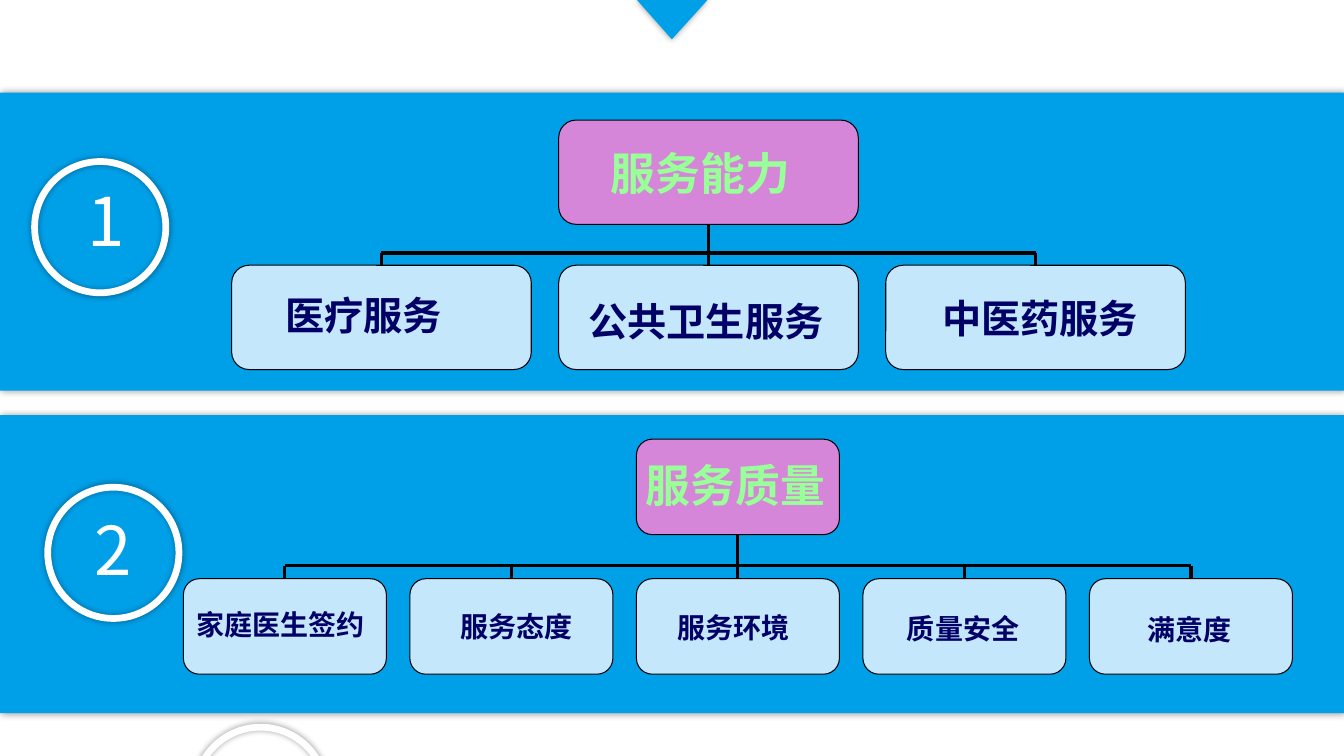
from lxml.etree import SubElement
from pptx import Presentation
from pptx.dml.color import RGBColor
from pptx.enum.shapes import MSO_CONNECTOR as LINK, MSO_SHAPE as SHAPE
from pptx.enum.text import MSO_AUTO_SIZE as FIT, PP_ALIGN as ALIGN
from pptx.oxml.ns import qn
from pptx.util import Pt

COLORS = {
    "panel": "00A0E9", "white": "FFFFFF", "black": "000000",
    "parent": "D686D8", "child": "C4E7FC",
    "heading": "99FF99", "label": "000066",
}
LABEL_FONT = "Noto Sans CJK JP"
NUMBER_FONT = "Noto Sans CJK SC"
SLIDE_WIDTH, SLIDE_HEIGHT = 960, 540
RING_SIZE = 98.6

ABILITY = {
    "left": 165.5, "step": 233.6, "box": (214, 74.5),
    "parent_top": 85.8, "bus": 180.7, "child_top": 189.5, "size": 28,
    "heading": ("服务能力", 429.1, 100.8),
    "labels": [("医疗服务", 196.5, 204.5), ("公共卫生服务", 413.3, 208.8),
               ("中医药服务", 666, 206.6)],
}
QUALITY = {
    "left": 131, "step": 161.8, "box": (145, 68.2),
    "parent_top": 313.7, "bus": 404, "child_top": 413.4, "size": 20,
    "heading": ("服务质量", 454.3, 323.3),
    "labels": [("家庭医生签约", 133.2, 430.6), ("服务态度", 321.8, 432),
               ("服务环境", 476.6, 432.7), ("质量安全", 640.8, 433.4),
               ("满意度", 812.2, 434.2)],
}


def rgb(name):
    return RGBColor.from_string(COLORS[name])


def add_filled(slide, kind, left, top, width, height, color):
    filled = slide.shapes.add_shape(kind, Pt(left), Pt(top), Pt(width), Pt(height))
    filled.shadow.inherit = False
    filled.fill.solid()
    filled.fill.fore_color.rgb = rgb(color)
    filled.line.fill.background()
    return filled


def add_glow(filled):
    effects = filled.element.spPr.find(qn("a:effectLst"))
    shadow = SubElement(effects, qn("a:outerShdw"), blurRad=str(Pt(5)),
                        dist="0", dir="0", algn="ctr", rotWithShape="0")
    tint = SubElement(shadow, qn("a:srgbClr"), val=COLORS["black"])
    SubElement(tint, qn("a:alpha"), val="40000")


def add_panel(slide, top):
    add_glow(add_filled(slide, SHAPE.RECTANGLE, 0, top, SLIDE_WIDTH, 212.8, "panel"))


def add_ring(slide, left, top):
    ring = add_filled(slide, SHAPE.DONUT, left, top, RING_SIZE, RING_SIZE, "white")
    ring.adjustments[0] = 0.049
    add_glow(ring)


def add_pointer(slide):
    pointer = add_filled(slide, SHAPE.ISOSCELES_TRIANGLE, 455, 0, 50.4, 28.1, "panel")
    pointer.adjustments[0] = 0.495
    pointer.element.spPr.xfrm.set("flipV", "1")
    add_glow(pointer)


def add_text(slide, text, left, top, *, size, color, font=LABEL_FONT,
             bold=True, width=None, align=ALIGN.LEFT):
    fitted = len(text) * size + 14.4
    box = slide.shapes.add_textbox(Pt(left), Pt(top), Pt(width or fitted),
                                   Pt(size * 1.2 + 7.4))
    frame = box.text_frame
    frame.word_wrap = width is not None
    frame.auto_size = FIT.SHAPE_TO_FIT_TEXT
    paragraph = frame.paragraphs[0]
    paragraph.alignment = align
    run = paragraph.add_run()
    run.text = text
    run.font.size = Pt(size)
    run.font.bold = bold
    run.font.color.rgb = rgb(color)
    run.font.name = font
    SubElement(run.font._element, qn("a:ea"), typeface=font)


def add_number(slide, text, left, top):
    add_text(slide, text, left, top, size=48, color="white", font=NUMBER_FONT,
             bold=False, width=90.7, align=ALIGN.CENTER)


def add_line(slide, start, end):
    line = slide.shapes.add_connector(LINK.STRAIGHT, *map(Pt, start + end))
    line.line.color.rgb = rgb("black")
    line.line.width = Pt(2.25)
    SubElement(line.element.spPr, qn("a:effectLst"))
    return line


def add_node(slide, left, top, size, color):
    node = add_filled(slide, SHAPE.ROUNDED_RECTANGLE, left, top, *size, color)
    node.adjustments[0] = 0.167
    node.line.color.rgb = rgb("black")
    node.line.width = Pt(0.75)
    return node


def add_tree(slide, tree):
    width, height = tree["box"]
    count = len(tree["labels"])
    middle = count // 2
    lefts = [tree["left"] + tree["step"] * index for index in range(count)]
    centers = [left + width / 2 for left in lefts]
    bus, child_top = tree["bus"], tree["child_top"]

    parent = add_node(slide, lefts[middle], tree["parent_top"], tree["box"], "parent")
    children = [add_node(slide, left, child_top, tree["box"], "child") for left in lefts]

    add_line(slide, (centers[0], bus), (centers[-1], bus))
    for index, (center, child) in enumerate(zip(centers, children)):
        is_trunk = index == middle
        start = tree["parent_top"] + height if is_trunk else bus
        branch = add_line(slide, (center, start), (center, child_top))
        if is_trunk:
            branch.begin_connect(parent, 2)
        branch.end_connect(child, 0)

    add_text(slide, *tree["heading"], size=32, color="heading")
    for label in tree["labels"]:
        add_text(slide, *label, size=tree["size"], color="label")


def main():
    deck = Presentation()
    deck.slide_width, deck.slide_height = Pt(SLIDE_WIDTH), Pt(SLIDE_HEIGHT)
    slide = deck.slides.add_slide(deck.slide_layouts[6])

    add_pointer(slide)
    add_panel(slide, 66.2)
    add_ring(slide, 136.8, 517)
    add_ring(slide, 22.3, 113)
    add_number(slide, "1", 30.2, 124.6)
    add_panel(slide, 296.6)
    add_ring(slide, 31.7, 345.6)
    add_number(slide, "2", 35.3, 359.3)
    for tree in (ABILITY, QUALITY):
        add_tree(slide, tree)

    deck.save("out.pptx")


if __name__ == "__main__":
    main()
